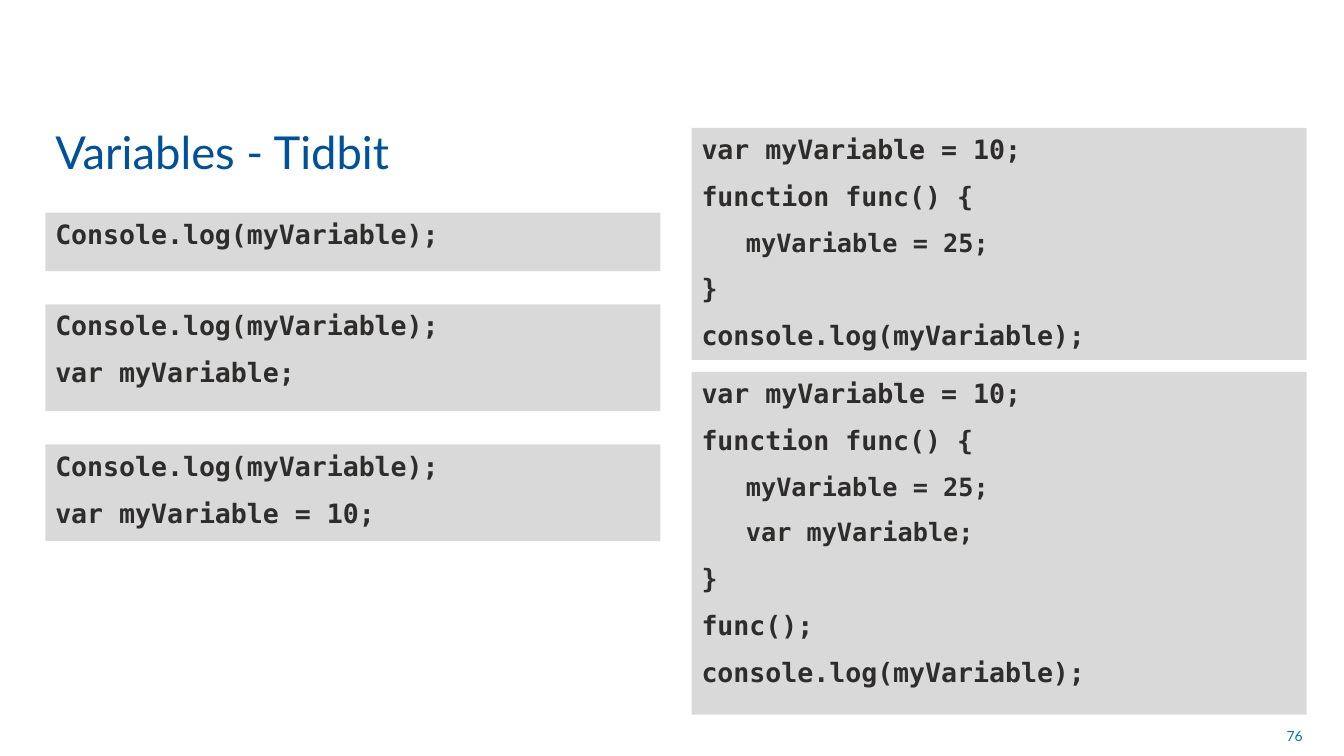
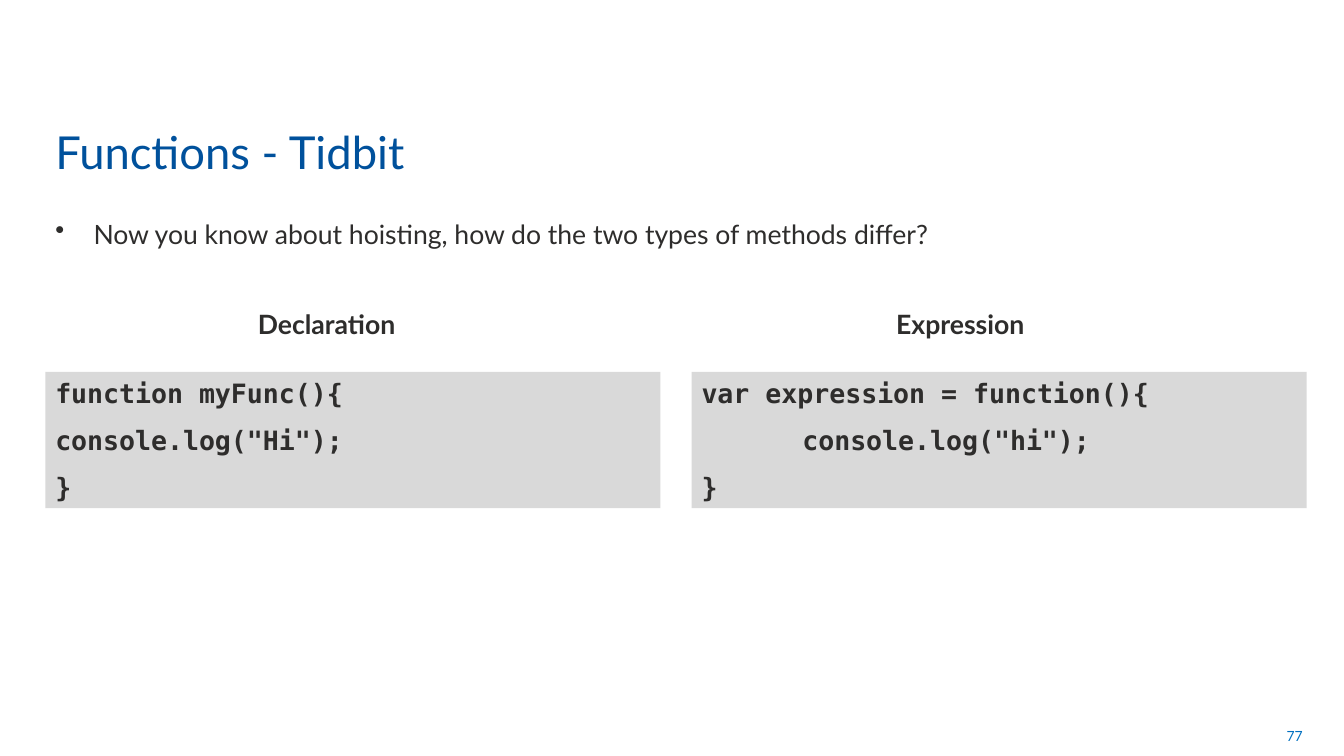
"""Build two slides of JavaScript hoisting tidbits."""
from lxml.etree import SubElement
from pptx import Presentation
from pptx.dml.color import RGBColor
from pptx.enum.shapes import MSO_SHAPE
from pptx.enum.text import MSO_ANCHOR, PP_ALIGN
from pptx.oxml.ns import qn
from pptx.util import Inches, Pt

WIDTH, HEIGHT = 13.33, 7.5
COL_W, COL_GAP, MARGIN = 6.1, 0.31, 0.45
COLS = [MARGIN + i * (COL_W + COL_GAP) for i in range(2)]
BODY_TOP, HEADING_TOP, LOWER_TOP = 2.11, 3.01, 3.69
BLUE, FOOTER_BLUE, INK, GREY = "00519C", "0070C0", "2E2D2C", "D9D9D9"
SANS, MONO = "Lato", "DejaVu Sans Mono"

TITLE = dict(name=SANS, size=Pt(32.4), color=BLUE)
FOOTER = dict(name=SANS, size=Pt(10), color=FOOTER_BLUE)
BODY = dict(name=SANS, size=Pt(19), color=INK)
HEADING = dict(BODY, bold=True)
CODE = dict(HEADING, name=MONO)
NESTED = dict(CODE, size=Pt(18))
LIST_SPACING = dict(space_before=Pt(2), space_after=Pt(8))
CODE_SPACING = dict(space_before=Pt(2), space_after=Pt(8.8))

STEP, TAB = 0.44, 1
FUNC = ["var myVariable = 10;", "function func() {", (STEP, "myVariable = 25;")]
LOG = "Console.log(myVariable);"
SLIDES = [
    dict(
        title="Variables - Tidbit", number="76", bullets=[], headings=[],
        code=[
            (0, BODY_TOP, 0.58, [LOG]),
            (0, 3.02, 1.06, [LOG, "var myVariable;"]),
            (0, 4.41, 0.96, [LOG, "var myVariable = 10;"]),
            (1, 1.27, 2.3, FUNC + ["}", "console.log(myVariable);"]),
            (1, LOWER_TOP, 3.4, FUNC + [(STEP, "var myVariable;"), "}", "func();",
                                        "console.log(myVariable);"]),
        ],
    ),
    dict(
        title="Functions - Tidbit", number="77",
        bullets=["Now you know about hoisting, how do the two types of methods differ?"],
        headings=[(2.01, "Declaration"), (1.93, "Expression")],
        code=[
            (0, LOWER_TOP, 1.35, ["function myFunc(){", 'console.log("Hi");', "}"]),
            (1, LOWER_TOP, 1.35, ["var expression = function(){",
                                  (TAB, 'console.log("hi");'), "}"]),
        ],
    ),
]


def rgb(color):
    return RGBColor.from_string(color)


def set_all(obj, values):
    for key, value in values.items():
        setattr(obj, key, value)


def write(p, text, font, **paragraph):
    set_all(p, paragraph)
    r = p.add_run()
    r.text = text
    set_all(r.font, {k: v for k, v in font.items() if k != "color"})
    r.font.color.rgb = rgb(font["color"])


def set_indent(p, left, first=0):
    pPr = p._p.get_or_add_pPr()
    pPr.set("marL", str(Inches(left)))
    pPr.set("indent", str(Inches(first)))
    return pPr


def add_text(s, box, text, font, anchor=MSO_ANCHOR.TOP, **paragraph):
    tf = s.shapes.add_textbox(*map(Inches, box)).text_frame
    set_all(tf, dict(word_wrap=True, vertical_anchor=anchor))
    write(tf.paragraphs[0], text, font, **paragraph)
    return tf.paragraphs[0]


def add_bullet(s, top, text):
    p = add_text(s, (MARGIN, top, 12.47, 0.5), text, BODY, **LIST_SPACING)
    SubElement(set_indent(p, 0.38, -0.38), qn("a:buChar"), char="•")


def add_code(s, col, top, height, lines):
    box = map(Inches, (COLS[col], top, COL_W, height))
    sp = s.shapes.add_shape(MSO_SHAPE.RECTANGLE, *box)
    sp.shadow.inherit = False
    sp.fill.solid()
    sp.fill.fore_color.rgb = rgb(GREY)
    sp.line.fill.background()
    tf = sp.text_frame
    set_all(tf, dict(word_wrap=True, vertical_anchor=MSO_ANCHOR.TOP))
    for i, line in enumerate(lines):
        indent, text = line if isinstance(line, tuple) else (0, line)
        p = tf.add_paragraph() if i else tf.paragraphs[0]
        write(p, text, NESTED if indent == STEP else CODE,
              alignment=PP_ALIGN.LEFT, **CODE_SPACING)
        set_indent(p, indent)


def add_slide(prs, content):
    s = prs.slides.add_slide(prs.slide_layouts[6])
    add_text(s, (9.91, 7.1, 3.11, 0.4), content["number"], FOOTER,
             MSO_ANCHOR.MIDDLE, alignment=PP_ALIGN.RIGHT)
    add_text(s, (MARGIN, 1.13, 9.98, 0.69), content["title"], TITLE, MSO_ANCHOR.BOTTOM)
    for i, text in enumerate(content["bullets"]):
        add_bullet(s, BODY_TOP + i * 0.45, text)
    for left, (offset, text) in zip(COLS, content["headings"]):
        add_text(s, (left + offset, HEADING_TOP, 2, 0.5), text, HEADING, **LIST_SPACING)
    for block in content["code"]:
        add_code(s, *block)


def main():
    prs = Presentation()
    set_all(prs, dict(slide_width=Inches(WIDTH), slide_height=Inches(HEIGHT)))
    for content in SLIDES:
        add_slide(prs, content)
    prs.save("out.pptx")


if __name__ == "__main__":
    main()
